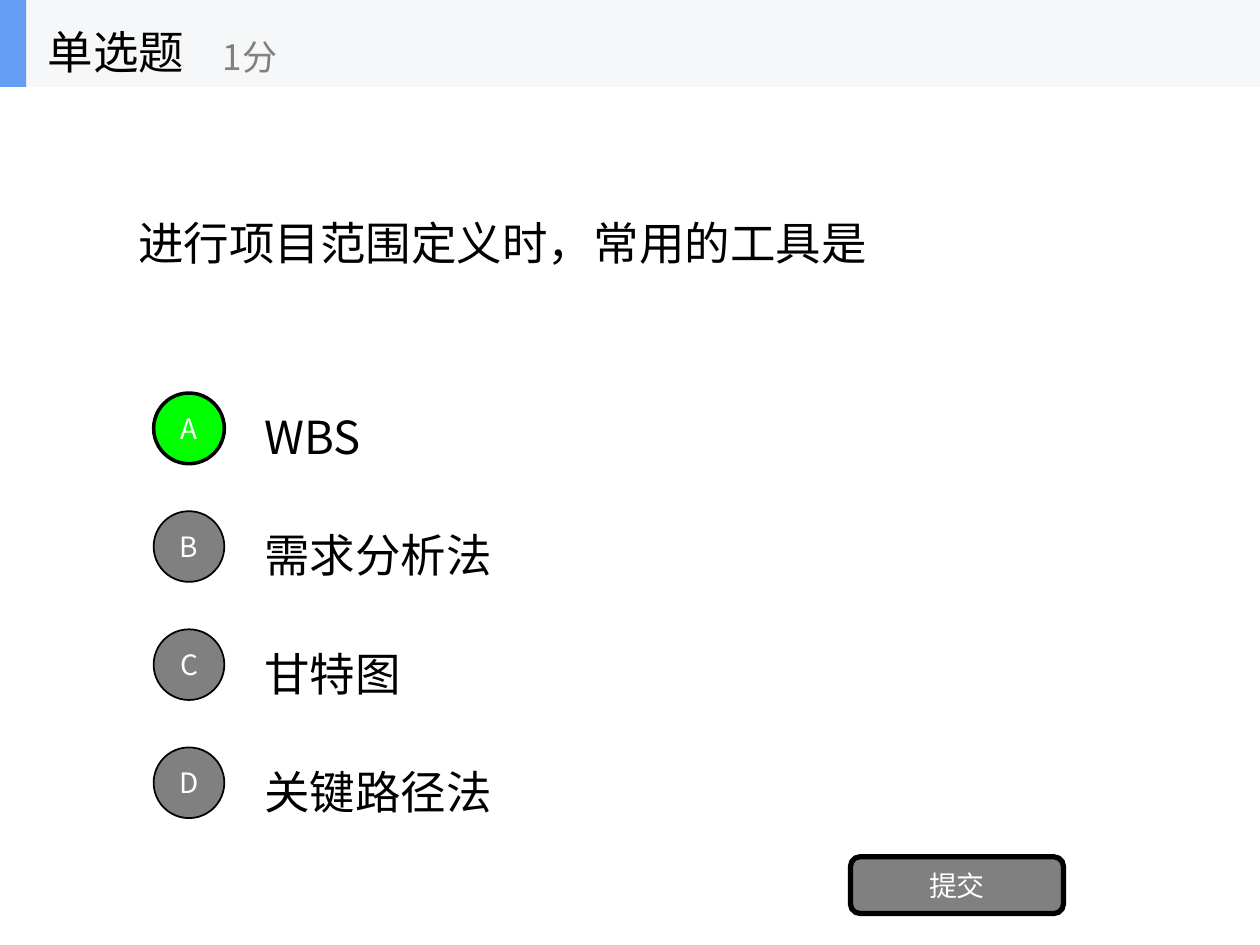
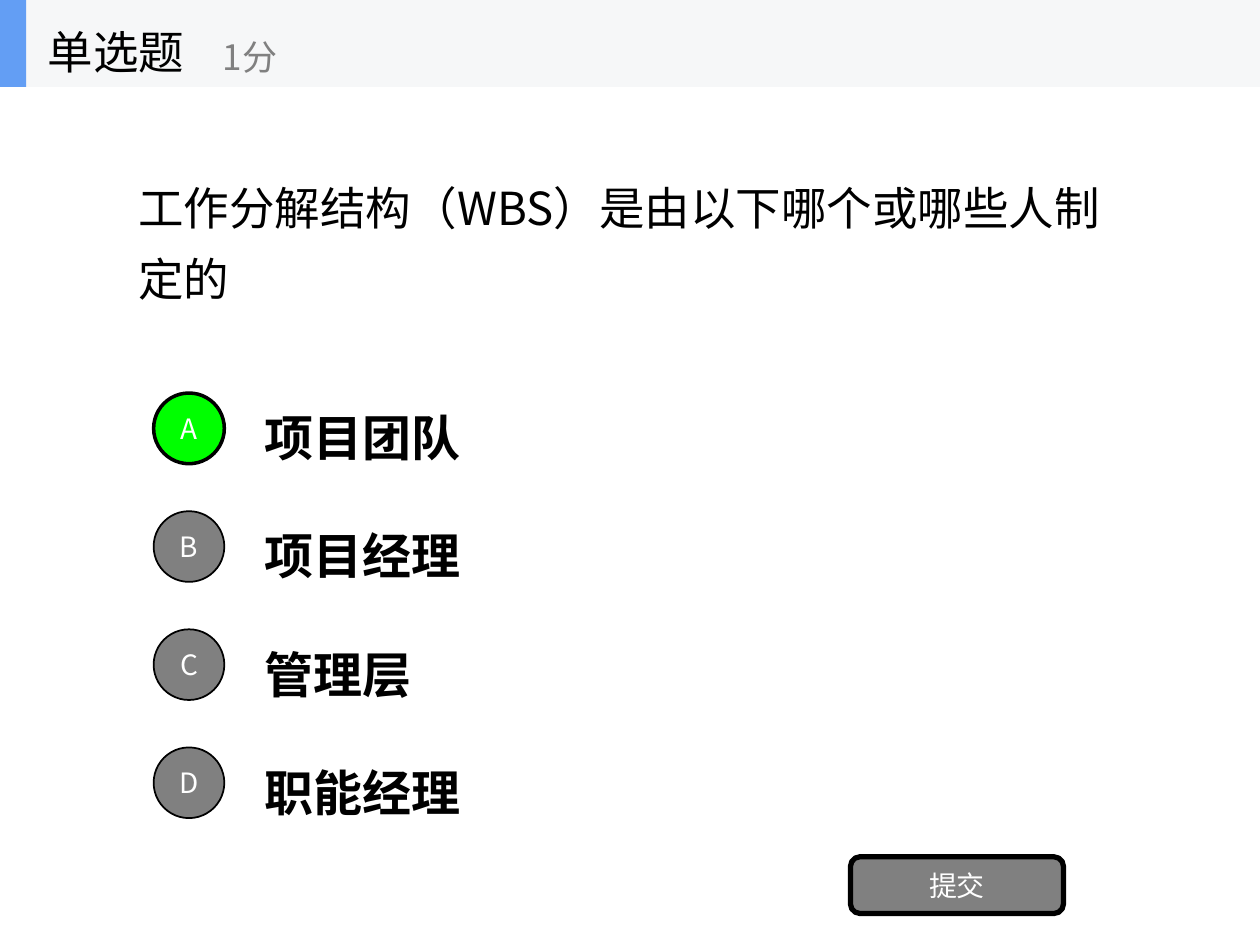
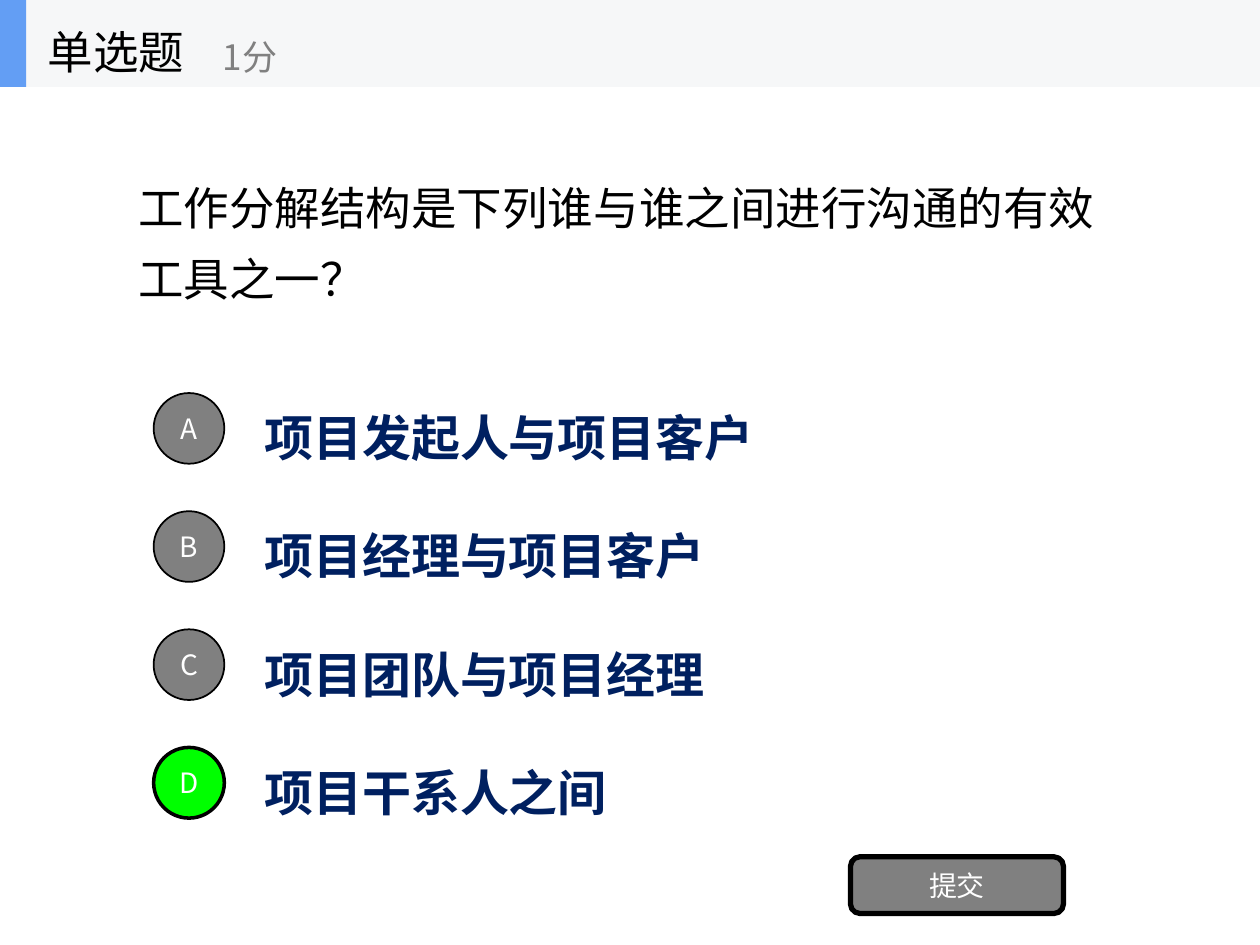
from dataclasses import dataclass

from lxml import etree
from pptx import Presentation
from pptx.dml.color import RGBColor
from pptx.enum.shapes import MSO_SHAPE
from pptx.enum.text import MSO_ANCHOR, PP_ALIGN
from pptx.oxml.ns import qn
from pptx.util import Pt

RECTANGLE = MSO_SHAPE.RECTANGLE
ROUNDED_RECTANGLE = MSO_SHAPE.ROUNDED_RECTANGLE
OVAL = MSO_SHAPE.OVAL
MIDDLE = MSO_ANCHOR.MIDDLE
CENTER = PP_ALIGN.CENTER

FONT = "Noto Sans CJK SC"
LINE_SPACING = 1.3
BLACK = RGBColor(0x00, 0x00, 0x00)
WHITE = RGBColor(0xFF, 0xFF, 0xFF)
GRAY = RGBColor(0x80, 0x80, 0x80)
GREEN = RGBColor(0x00, 0xFF, 0x00)
NAVY = RGBColor(0x00, 0x20, 0x60)
BAND = RGBColor(0xF6, 0xF7, 0xF8)
ACCENT = RGBColor(0x63, 0x9E, 0xF4)

# Boxes are (left, top, width, height) in points.
SLIDE_WIDTH, SLIDE_HEIGHT = 720, 540
HEADER_BOX = (0, 0, SLIDE_WIDTH, 49.7)
QUESTION_BOX = (72, 49.7, 576, 168.5)
OPTIONS_BOX = (87.8, 219.6, 560.2, 252.9)
SUBMIT_BOX = (486, 489.6, 121.7, 32.4)
ROW_HEIGHT = 50.4
MARKER_SIZE = 40.4
OPTION_INDENT = 56.2


@dataclass
class Question:
    text: str
    options: tuple
    answer: str
    size: int = 28
    bold: bool = True
    color: RGBColor = BLACK


QUESTIONS = (
    Question("进行项目范围定义时，常用的工具是",
             ("WBS", "需求分析法", "甘特图", "关键路径法"),
             "A", size=26, bold=False),
    Question("工作分解结构（WBS）是由以下哪个或哪些人制定的",
             ("项目团队", "项目经理", "管理层", "职能经理"), "A"),
    Question("工作分解结构是下列谁与谁之间进行沟通的有效工具之一？",
             ("项目发起人与项目客户", "项目经理与项目客户",
              "项目团队与项目经理", "项目干系人之间"),
             "D", color=NAVY),
)


def add_run(paragraph, text, size, color, bold=False):
    run = paragraph.add_run()
    run.text = text
    run.font.name = FONT
    run.font.size = Pt(size)
    run.font.bold = bold
    run.font.color.rgb = color
    east_asian = etree.SubElement(run.font._element, qn("a:ea"))
    east_asian.set("typeface", FONT)


def add_text(shapes, box, text, size, color=BLACK, bold=False):
    text_frame = shapes.add_textbox(*map(Pt, box)).text_frame
    text_frame.word_wrap = True
    text_frame.vertical_anchor = MIDDLE
    paragraph = text_frame.paragraphs[0]
    paragraph.line_spacing = LINE_SPACING
    add_run(paragraph, text, size, color, bold)


def add_filled_shape(shapes, kind, box, fill, line_width=0):
    shape = shapes.add_shape(kind, *map(Pt, box))
    shape.shadow.inherit = False
    shape.fill.solid()
    shape.fill.fore_color.rgb = fill
    if line_width:
        shape.line.color.rgb = BLACK
        shape.line.width = Pt(line_width)
    else:
        shape.line.fill.background()
    return shape


def add_button(shapes, kind, box, label, fill, line_width):
    shape = add_filled_shape(shapes, kind, box, fill, line_width)
    text_frame = shape.text_frame
    text_frame.margin_left = text_frame.margin_right = 0
    text_frame.margin_top = text_frame.margin_bottom = 0
    text_frame.vertical_anchor = MIDDLE
    paragraph = text_frame.paragraphs[0]
    paragraph.alignment = CENTER
    add_run(paragraph, label, 16, WHITE)


def add_header(slide, box):
    left, top, _, height = box
    shapes = slide.shapes.add_group_shape().shapes
    add_filled_shape(shapes, RECTANGLE, box, BAND)
    add_filled_shape(shapes, RECTANGLE, (left, top, 15, height), ACCENT)
    add_text(shapes, (left + 20.2, top, 150, height), "单选题", 26)
    add_text(shapes, (left + 120.2, top + 8.7, 180, height - 9.4),
             "1分", 20, GRAY)


def add_options(slide, box, question):
    """Stack the answers evenly, each beside its lettered marker."""
    left, top, width, height = box
    pitch = (height - ROW_HEIGHT) / (len(question.options) - 1)
    rows = [top + index * pitch for index in range(len(question.options))]
    for row_top, option in zip(rows, question.options):
        add_text(slide.shapes,
                 (left + OPTION_INDENT, row_top, width - OPTION_INDENT, ROW_HEIGHT),
                 option, question.size, question.color, question.bold)
    for row_top, letter in zip(rows, "ABCD"):
        marker_top = row_top + (ROW_HEIGHT - MARKER_SIZE) / 2
        fill, line_width = (GREEN, 2) if letter == question.answer else (GRAY, 1)
        add_button(slide.shapes, OVAL, (left, marker_top, MARKER_SIZE, MARKER_SIZE),
                   letter, fill, line_width)


def add_question_slide(presentation, question):
    slide = presentation.slides.add_slide(presentation.slide_layouts[6])
    add_text(slide.shapes, QUESTION_BOX, question.text, 26)
    add_options(slide, OPTIONS_BOX, question)
    add_button(slide.shapes, ROUNDED_RECTANGLE, SUBMIT_BOX, "提交", GRAY, 3)
    add_header(slide, HEADER_BOX)


def main():
    presentation = Presentation()
    presentation.slide_width = Pt(SLIDE_WIDTH)
    presentation.slide_height = Pt(SLIDE_HEIGHT)
    for question in QUESTIONS:
        add_question_slide(presentation, question)
    presentation.save("out.pptx")


if __name__ == "__main__":
    main()
